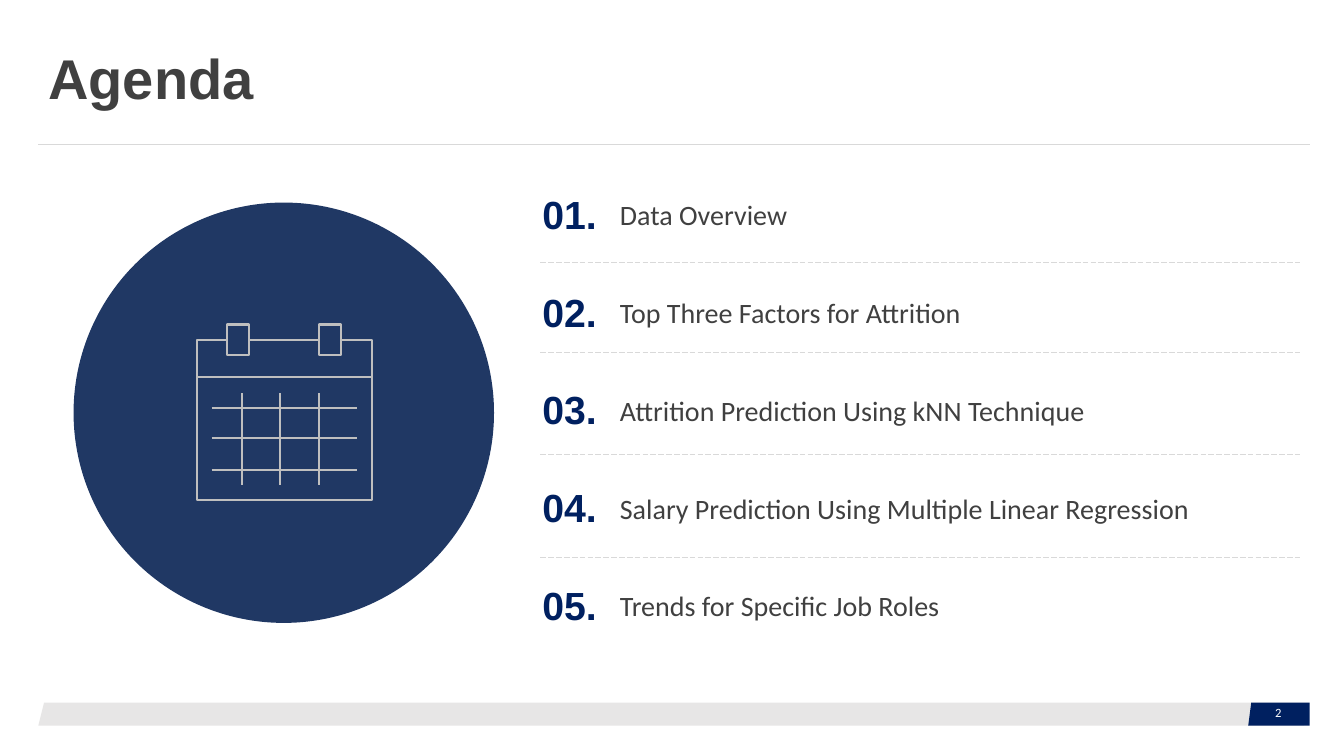
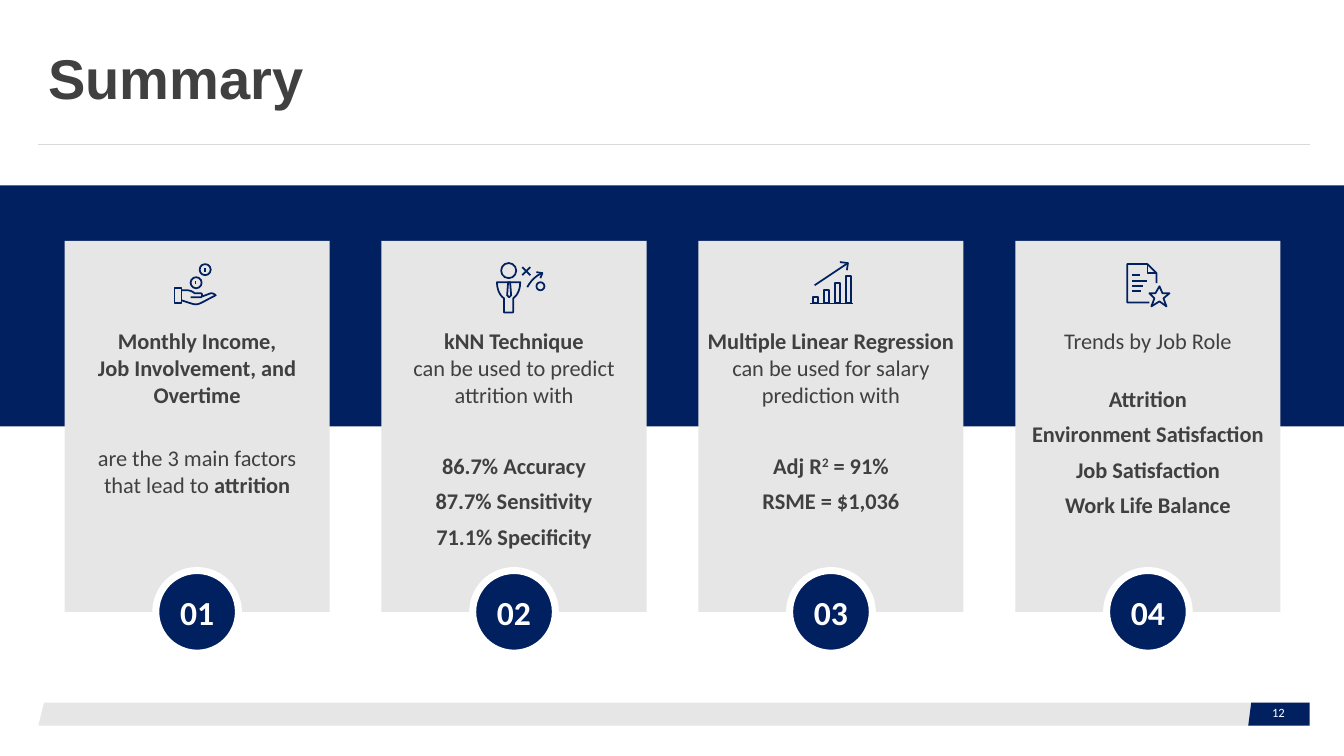
from lxml.etree import SubElement
from pptx import Presentation
from pptx.dml.color import RGBColor
from pptx.enum.dml import MSO_LINE
from pptx.enum.shapes import MSO_CONNECTOR, MSO_SHAPE
from pptx.enum.text import MSO_ANCHOR, PP_ALIGN
from pptx.oxml.ns import qn
from pptx.util import Inches, Pt

COLORS = {
    "navy": "002060", "disc": "203864", "pale": "E7E6E6", "rule": "D9D9D9",
    "icon": "BFBFBF", "ink": "404040", "white": "FFFFFF",
}
HEADING, BODY = "Arial", "Calibri"
MARGIN, CONTENT_W = 0.38, 12.61
RIGHT = MARGIN + CONTENT_W
FOOTER_Y, FOOTER_H = 6.97, 0.23


def cubic(start, control1, control2, end, steps=12):
    """Points along a Bezier curve, both ends included."""
    points = []
    for step in range(steps + 1):
        t = step / steps
        weights = ((1 - t) ** 3, 3 * t * (1 - t) ** 2, 3 * t * t * (1 - t), t ** 3)
        corners = (start, control1, control2, end)
        points.append(tuple(sum(w * c[axis] for w, c in zip(weights, corners))
                            for axis in (0, 1)))
    return points


AGENDA = [
    "Data Overview",
    "Top Three Factors for Attrition",
    "Attrition Prediction Using kNN Technique",
    "Salary Prediction Using Multiple Linear Regression",
    "Trends for Specific Job Roles",
]
AGENDA_DIVIDERS = [2.6, 3.5, 4.51, 5.53]

# Icon parts: line (x1, y1, x2, y2), rect and oval (x, y, w, h),
# path (open points), loop (closed points)
CALENDAR = [
    ("path", [(2.25, 3.37), (1.95, 3.37), (1.95, 4.96),
              (3.69, 4.96), (3.69, 3.37), (3.38, 3.37)]),
    ("rect", (2.25, 3.22, 0.22, 0.3)),
    ("rect", (3.16, 3.22, 0.22, 0.3)),
    ("line", (2.47, 3.37, 3.16, 3.37)),
    ("line", (1.95, 3.74, 3.69, 3.74)),
    *[("line", (x, 3.9, x, 4.81)) for x in (2.4, 2.78, 3.16)],
    *[("line", (2.1, y, 3.54, y)) for y in (4.05, 4.35, 4.66)],
]
HAND_WITH_COINS = [
    ("rect", (1.73, 2.86, 0.07, 0.15)),
    ("path", cubic((1.8, 2.98), (1.99, 3.04), (1.92, 3.04), (2.14, 2.93))
     + cubic((2.14, 2.93), (2.12, 2.91), (2.1, 2.91), (2.09, 2.91)) + [(2.01, 2.94)]),
    ("path", [(1.8, 2.88)] + cubic((1.85, 2.88), (1.89, 2.88), (1.92, 2.9), (1.93, 2.91))
     + [(1.99, 2.91)] + cubic((1.99, 2.91), (2.01, 2.91), (2.01, 2.95), (1.99, 2.95))
     + [(1.89, 2.95)]),
    ("oval", (1.98, 2.62, 0.11, 0.11)),
    ("oval", (1.89, 2.75, 0.11, 0.11)),
    ("line", (1.94, 2.79, 1.94, 2.82)),
    ("line", (2.03, 2.66, 2.03, 2.7)),
]
STRATEGIST = [
    ("oval", (4.97, 2.61, 0.15, 0.15)),
    ("loop", [(5.16, 2.8)] + cubic((4.93, 2.8), (4.93, 2.89), (4.97, 2.94), (5, 2.96))
     + [(5, 3.1), (5.09, 3.1)]
     + cubic((5.09, 2.96), (5.12, 2.94), (5.16, 2.89), (5.16, 2.8))),
    ("loop", [(5.06, 2.8), (5.04, 2.8), (5.03, 2.93), (5.05, 2.95), (5.07, 2.93)]),
    ("line", (5.18, 2.65, 5.26, 2.73)),
    ("line", (5.26, 2.65, 5.18, 2.73)),
    ("oval", (5.32, 2.8, 0.08, 0.08)),
    ("path", cubic((5.23, 2.85), (5.26, 2.79), (5.32, 2.73), (5.38, 2.71))),
    ("path", [(5.32, 2.7), (5.38, 2.71), (5.36, 2.76)]),
]
RISING_BARS = [
    ("line", (8.03, 3.01, 8.46, 3.01)),
    *[("rect", (8.06 + 0.11 * i, 2.95 - 0.07 * i, 0.05, 0.06 + 0.07 * i))
      for i in range(4)],
    ("line", (8.08, 2.83, 8.41, 2.61)),
    ("path", [(8.33, 2.6), (8.41, 2.61), (8.4, 2.68)]),
]
STARRED_PAGE = [
    *[("line", (11.23, y, x, y))
      for x, y in ((11.31, 2.73), (11.38, 2.79), (11.34, 2.84), (11.32, 2.89))],
    ("loop", [(11.5, 2.84), (11.53, 2.91), (11.6, 2.91), (11.54, 2.96), (11.57, 3.04),
              (11.5, 2.99), (11.42, 3.04), (11.45, 2.96), (11.4, 2.91), (11.46, 2.91)]),
    ("path", [(11.4, 3), (11.18, 3), (11.18, 2.62), (11.38, 2.62),
              (11.47, 2.71), (11.47, 2.81)]),
    ("path", [(11.38, 2.62), (11.38, 2.71), (11.47, 2.71)]),
]

# Each card: icon, side inset, paragraphs as (space before, [(text, style), ...])
CARDS = [
    (HAND_WITH_COINS, 0.12, [
        (6, [("Monthly Income,\nJob Involvement, and Overtime", "bold")]),
        (25.5, [("are the 3 main factors\nthat lead to ", ""), ("attrition", "bold")]),
    ]),
    (STRATEGIST, 0.12, [
        (6, [("kNN Technique\n", "bold"), ("can be used to predict attrition with", "")]),
        (31.5, [("86.7% Accuracy", "bold")]),
        (6, [("87.7% Sensitivity", "bold")]),
        (6, [("71.1% Specificity", "bold")]),
    ]),
    (RISING_BARS, 0, [
        (6, [("Multiple Linear Regression ", "bold"),
             ("can be used for salary prediction with", "")]),
        (31.5, [("Adj R", "bold"), ("2", "bold super"), (" = 91%", "bold")]),
        (6, [("RSME = $1,036", "bold")]),
    ]),
    (STARRED_PAGE, 0.12, [
        (6, [("Trends by Job Role", "")]),
        (22, [("Attrition", "bold")]),
        (6, [("Environment Satisfaction", "bold")]),
        (6, [("Job Satisfaction", "bold")]),
        (6, [("Work Life Balance", "bold")]),
    ]),
]


def rgb(name):
    return RGBColor.from_string(COLORS[name])


def paint(shape, fill=None, line=None, width=1):
    shape.shadow.inherit = False
    if fill:
        shape.fill.solid()
        shape.fill.fore_color.rgb = rgb(fill)
    else:
        shape.fill.background()
    if line:
        shape.line.color.rgb = rgb(line)
        shape.line.width = Pt(width)
    else:
        shape.line.fill.background()
    return shape


def add_preset(shapes, preset, box, **look):
    return paint(shapes.add_shape(preset, *map(Inches, box)), **look)


def add_line(shapes, ends, color, width, dash=None):
    line = shapes.add_connector(MSO_CONNECTOR.STRAIGHT, *map(Inches, ends))
    line.line.color.rgb = rgb(color)
    line.line.width = Pt(width)
    if dash:
        line.line.dash_style = dash
    SubElement(line.element.spPr, qn("a:effectLst"))
    return line


def add_path(shapes, points, close, **look):
    (x, y), *rest = [tuple(map(Inches, point)) for point in points]
    outline = shapes.build_freeform(x, y)
    outline.add_line_segments(rest, close=close)
    return paint(outline.convert_to_shape(), **look)


def add_icon(slide, parts, color, width):
    shapes = slide.shapes.add_group_shape().shapes
    presets = {"rect": MSO_SHAPE.RECTANGLE, "oval": MSO_SHAPE.OVAL}
    for kind, geometry in parts:
        if kind == "line":
            add_line(shapes, geometry, color, width)
        elif kind in presets:
            add_preset(shapes, presets[kind], geometry, line=color, width=width)
        else:
            add_path(shapes, geometry, kind == "loop", line=color, width=width)


def add_run(paragraph, text, size, color="ink", font=BODY, style=""):
    """Add formatted text; a newline becomes a line break."""
    for index, piece in enumerate(text.split("\n")):
        if index:
            paragraph.add_line_break()
        if not piece:
            continue
        run = paragraph.add_run()
        run.text = piece
        run.font.size, run.font.name = Pt(size), font
        run.font.bold = "bold" in style
        run.font.color.rgb = rgb(color)
        if "super" in style:
            run.font._element.set("baseline", "30000")


def set_frame(shape, anchor=MSO_ANCHOR.MIDDLE, inset=None):
    frame = shape.text_frame
    frame.word_wrap = True
    frame.vertical_anchor = anchor
    if inset is not None:
        frame.margin_left = frame.margin_right = Inches(inset)
        frame.margin_top = frame.margin_bottom = Inches(inset)
    return frame


def add_label(slide, box, text, size, color, font=BODY, style="",
              align=PP_ALIGN.LEFT, inset=None):
    frame = set_frame(slide.shapes.add_textbox(*map(Inches, box)), inset=inset)
    paragraph = frame.paragraphs[0]
    paragraph.alignment, paragraph.line_spacing = align, 0.9
    add_run(paragraph, text, size, color, font, style)


def dress_layout(layout, slide):
    """Put the footer band, page tab and title rule on the layout."""
    bottom, tab_x = FOOTER_Y + FOOTER_H, 12.38
    for part in (
        add_preset(slide.shapes, MSO_SHAPE.PARALLELOGRAM,
                   (MARGIN, FOOTER_Y, CONTENT_W, FOOTER_H), fill="pale"),
        add_path(slide.shapes, [(tab_x + 0.03, FOOTER_Y), (RIGHT, FOOTER_Y),
                                (RIGHT, bottom), (tab_x, bottom)], True, fill="navy"),
        add_line(slide.shapes, (MARGIN, 1.43, RIGHT, 1.43), "rule", 0.5),
    ):
        layout.shapes.element.append(part.element)


def start_slide(deck, layout, title, page):
    slide = deck.slides.add_slide(layout)
    heading = slide.shapes.title
    heading.left, heading.top = Inches(MARGIN), Inches(0.4)
    heading.width, heading.height = Inches(CONTENT_W), Inches(0.81)
    paragraph = set_frame(heading).paragraphs[0]
    paragraph.alignment, paragraph.line_spacing = PP_ALIGN.LEFT, 0.9
    add_run(paragraph, title, 40, font=HEADING, style="bold")
    add_label(slide, (12.48, 6.95, 0.4, 0.26), page, 9, "white", align=PP_ALIGN.CENTER)
    return slide


def fill_agenda(slide):
    add_preset(slide.shapes, MSO_SHAPE.OVAL, (0.73, 2.01, 4.17, 4.17), fill="disc")
    add_icon(slide, CALENDAR, "icon", 1.5)
    number_x, number_w, row_h = 5.38, 0.67, 0.5
    topic_x = number_x + number_w
    for index, topic in enumerate(AGENDA):
        top = 1.9 + 0.97 * index
        add_label(slide, (number_x, top, number_w, row_h), f"{index + 1:02}.", 28,
                  "navy", HEADING, "bold", inset=0)
        add_label(slide, (topic_x, top, RIGHT - topic_x, row_h), topic, 20, "ink")
    for y in AGENDA_DIVIDERS:
        add_line(slide.shapes, (5.36, y, 12.89, y), "rule", 0.5, MSO_LINE.LONG_DASH)


def fill_summary(slide):
    add_preset(slide.shapes, MSO_SHAPE.RECTANGLE, (0, 1.84, 13.33, 2.39), fill="navy")
    first_x, last_x, card_y, card_w, card_h = 0.64, 10.07, 2.39, 2.63, 3.68
    badge = 0.82
    pitch = (last_x - first_x) / (len(CARDS) - 1)
    for index, (icon, inset, paragraphs) in enumerate(CARDS):
        x = first_x + pitch * index
        add_preset(slide.shapes, MSO_SHAPE.RECTANGLE, (x, card_y, card_w, card_h),
                   fill="pale")
        circle = add_preset(
            slide.shapes, MSO_SHAPE.OVAL,
            (x + (card_w - badge) / 2, card_y + card_h - badge / 2, badge, badge),
            fill="navy", line="white", width=5)
        number = set_frame(circle, inset=0.04).paragraphs[0]
        number.alignment = PP_ALIGN.CENTER
        add_run(number, f"{index + 1:02}", 24, "white", style="bold")

        text_box = slide.shapes.add_textbox(
            *map(Inches, (x + inset, 3.25, card_w - 2 * inset, 2.19)))
        frame = set_frame(text_box, MSO_ANCHOR.TOP, 0)
        for position, (space, runs) in enumerate(paragraphs):
            paragraph = frame.add_paragraph() if position else frame.paragraphs[0]
            paragraph.alignment, paragraph.space_before = PP_ALIGN.CENTER, Pt(space)
            for text, style in runs:
                add_run(paragraph, text, 16, style=style)
        add_icon(slide, icon, "navy", 1.25)


def main():
    deck = Presentation()
    deck.slide_width, deck.slide_height = Inches(13.33), Inches(7.5)
    layout = deck.slide_layouts[5]
    agenda = start_slide(deck, layout, "Agenda", "2")
    dress_layout(layout, agenda)
    fill_agenda(agenda)
    fill_summary(start_slide(deck, layout, "Summary", "12"))
    deck.save("out.pptx")


if __name__ == "__main__":
    main()
